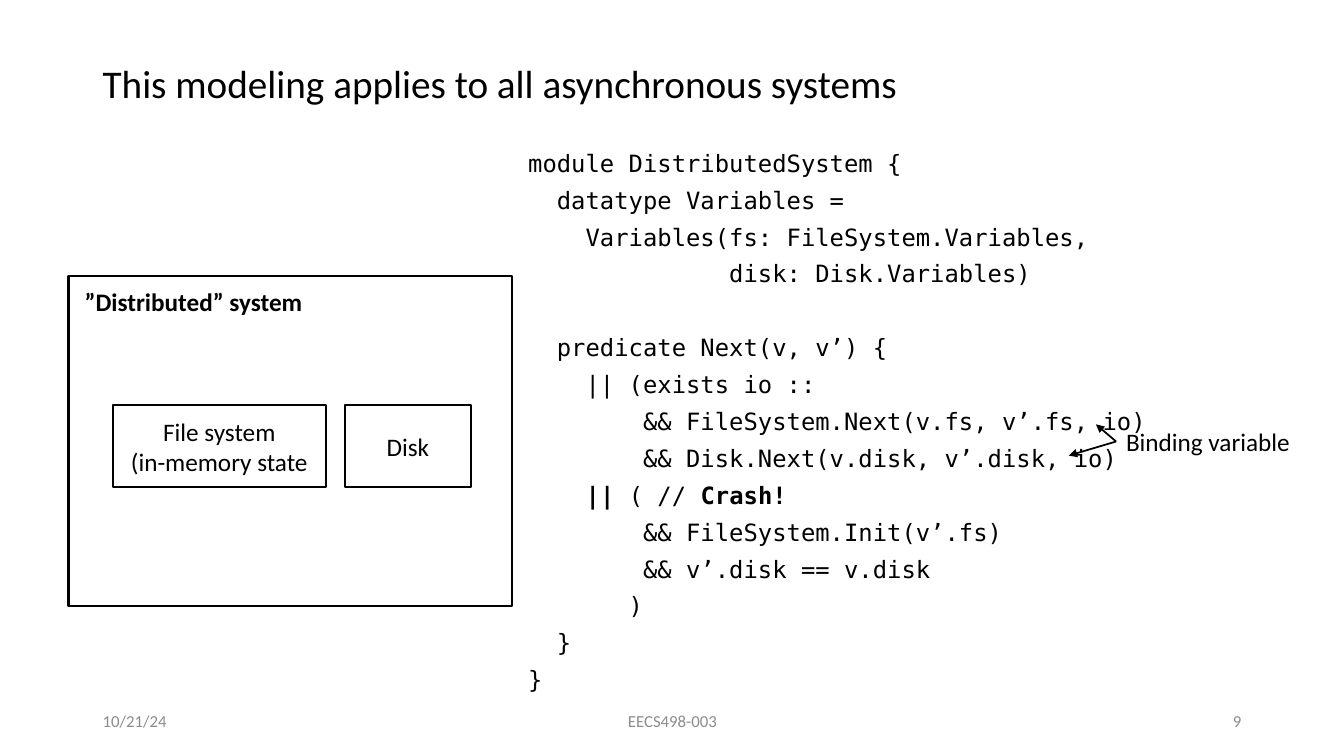
from lxml import etree
from pptx import Presentation
from pptx.dml.color import RGBColor
from pptx.enum.shapes import MSO_CONNECTOR, MSO_SHAPE
from pptx.enum.text import MSO_ANCHOR, PP_ALIGN
from pptx.oxml.ns import qn
from pptx.util import Inches, Pt

RECT, STRAIGHT = MSO_SHAPE.RECTANGLE, MSO_CONNECTOR.STRAIGHT
TOP, MIDDLE = MSO_ANCHOR.TOP, MSO_ANCHOR.MIDDLE
LEFT, CENTER, RIGHT = PP_ALIGN.LEFT, PP_ALIGN.CENTER, PP_ALIGN.RIGHT
BLACK, WHITE, GRAY = "000000", "FFFFFF", "8C8C8C"
SANS, MONO = "Calibri", "DejaVu Sans Mono"

# The slide is a grid of 1333 columns and 750 rows
COLS, ROWS = 1333, 750
CELL = Inches(0.01)
MARGIN = 92

prs = Presentation()
prs.slide_width, prs.slide_height = COLS * CELL, ROWS * CELL
s = prs.slides.add_slide(prs.slide_layouts[6])


def color(hex_value):
    return RGBColor.from_string(hex_value)


def add_box(x, y, w, h, lines, size=18, font=SANS, ink=BLACK, align=LEFT,
            anchor=TOP, framed=False, wrap=True, spacing=None):
    """Add a text box or framed rectangle; each line is a list of (text, bold) runs."""
    area = [n * CELL for n in (x, y, w, h)]
    if framed:
        sp = s.shapes.add_shape(RECT, *area)
        sp.shadow.inherit = False
        sp.fill.solid()
        sp.fill.fore_color.rgb = color(WHITE)
        sp.line.color.rgb = color(BLACK)
        sp.line.width = Pt(1.5)
    else:
        sp = s.shapes.add_textbox(*area)
    tf = sp.text_frame
    tf.word_wrap = wrap
    tf.vertical_anchor = anchor
    for i, line in enumerate(lines):
        p = tf.add_paragraph() if i else tf.paragraphs[0]
        p.alignment = align
        p.line_spacing = spacing
        for text, bold in line:
            r = p.add_run()
            r.text = text
            r.font.name, r.font.size, r.font.bold = font, Pt(size), bold
            r.font.color.rgb = color(ink)
    return sp


add_box(MARGIN, 59, 1200, 64,
        [[("This modeling applies to all asynchronous systems", False)]],
        size=28, spacing=0.9)

# Footer: left, centre and right
for text, w, share, align in [("10/21/24", 300, 0, LEFT),
                              ("EECS498-003", 450, 0.5, CENTER),
                              ("9", 300, 1, RIGHT)]:
    x = MARGIN + round((COLS - 2 * MARGIN - w) * share)
    add_box(x, 695, w, 40, [[(text, False)]], size=12, ink=GRAY,
            align=align, anchor=MIDDLE)

# Code listing
PREDICATE = "  predicate Next(v, v’) {"
code = [
    "module DistributedSystem {",
    "  datatype Variables =",
    "    Variables(fs: FileSystem.Variables,",
    "              disk: Disk.Variables)",
    PREDICATE,
    "    || (exists io ::",
    "        && FileSystem.Next(v.fs, v’.fs, io)",
    "        && Disk.Next(v.disk, v’.disk, io)",
    [("    ", False), ("|| ", True), ("( //", False), (" Crash!", True)],
    "        && FileSystem.Init(v’.fs)",
    "        && v’.disk == v.disk",
    "       )",
    "  }",
    "}",
]
listing = add_box(514, 148, 819, 550,
                  [[(line, False)] if isinstance(line, str) else line for line in code],
                  size=17, font=MONO, spacing=0.8)
for p in listing.text_frame.paragraphs[1:]:
    p.space_before = Pt(36.4 if p.text == PREDICATE else 10)

# System diagram
add_box(68, 274, 440, 327, [], framed=True)
add_box(74, 279, 238, 40, [[("”Distributed” system", True)]], wrap=False)
for x, w, lines in [(112, 211, ["File system", "(in-memory state"]),
                    (342, 125, ["Disk"])]:
    add_box(x, 402, w, 81, [[(line, False)] for line in lines],
            align=CENTER, anchor=MIDDLE, framed=True)

# Label with arrows to both uses of the binding variable
label = add_box(1107, 418, 204, 40, [[("Binding variable", False)]])
for x, y in [(1087, 421), (1060, 452)]:
    arrow = s.shapes.add_connector(STRAIGHT, 1107 * CELL, 438 * CELL, x * CELL, y * CELL)
    arrow.begin_connect(label, 1)
    arrow.line.color.rgb = color(BLACK)
    arrow.line.width = Pt(1.25)
    etree.SubElement(arrow.line._get_or_add_ln(), qn("a:tailEnd"), type="triangle")
    etree.SubElement(arrow._element.spPr, qn("a:effectLst"))

prs.save("out.pptx")
